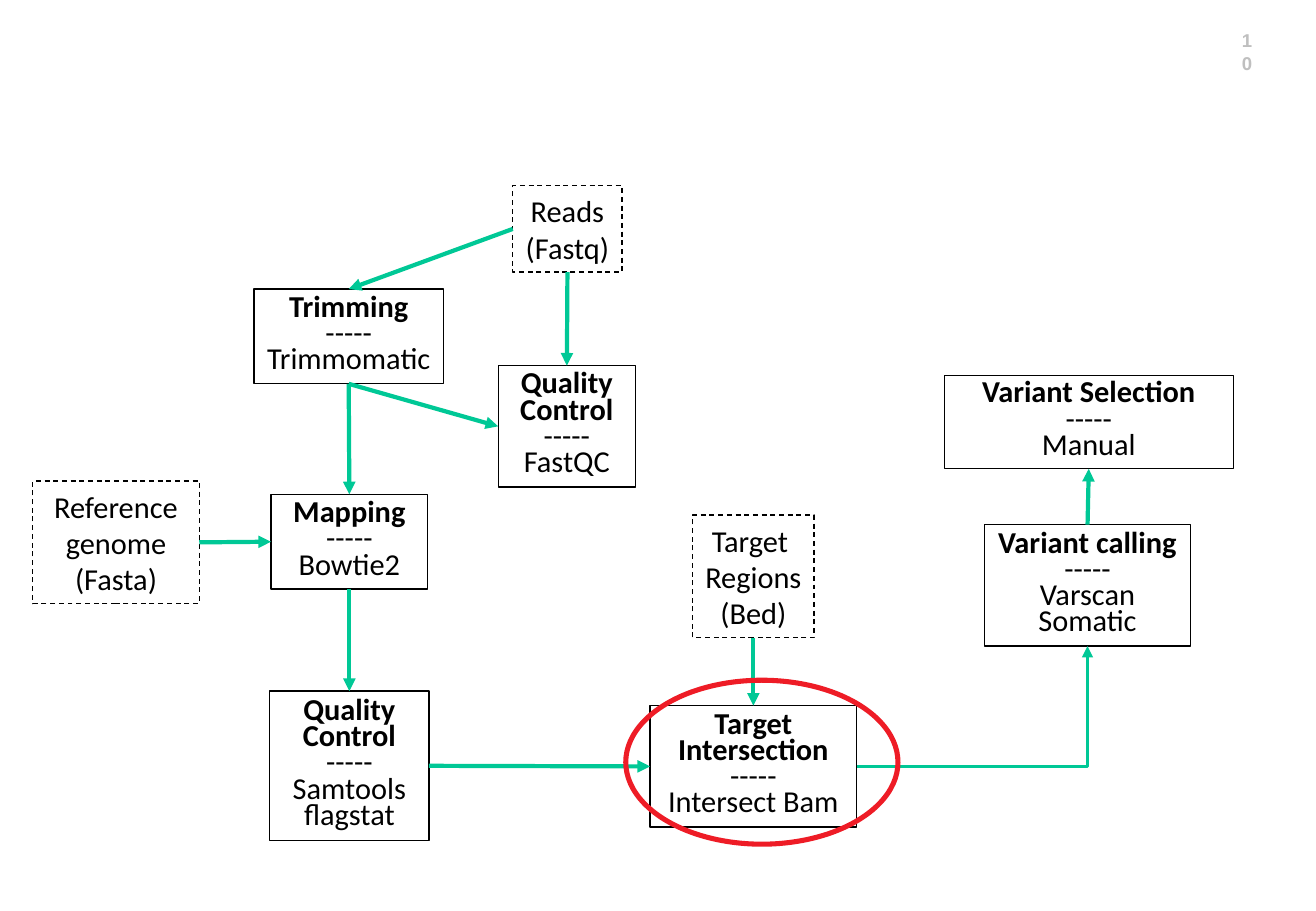
from pptx import Presentation
from pptx.dml.color import RGBColor
from pptx.enum.dml import MSO_LINE
from pptx.enum.shapes import MSO_CONNECTOR, MSO_SHAPE
from pptx.enum.text import MSO_ANCHOR, MSO_AUTO_SIZE, PP_ALIGN
from pptx.oxml.ns import qn
from pptx.util import Inches, Pt
from lxml import etree

RECTANGLE, OVAL = MSO_SHAPE.RECTANGLE, MSO_SHAPE.OVAL
STRAIGHT, ELBOW = MSO_CONNECTOR.STRAIGHT, MSO_CONNECTOR.ELBOW
DASH = MSO_LINE.DASH
CENTER, MIDDLE = PP_ALIGN.CENTER, MSO_ANCHOR.MIDDLE
FIT_SHAPE = MSO_AUTO_SIZE.SHAPE_TO_FIT_TEXT
TOP, LEFT, BOTTOM, RIGHT = range(4)

COLORS = {"text": "000000", "arrow": "00C896", "highlight": "EE1C26", "number": "BFBFBF"}
SEPARATOR = "-----"


class Flowchart:
    font = "Calibri"
    size = 18
    step_spacing = 15.6

    def __init__(self, slide):
        self.slide = slide

    def color(self, name):
        return RGBColor.from_string(COLORS[name])

    def add_run(self, paragraph, text, font, size, color, bold=False):
        run = paragraph.add_run()
        run.text = text
        run.font.name = font
        run.font.size = Pt(size)
        run.font.bold = bold
        run.font.color.rgb = self.color(color)

    def outline(self, kind, bounds, color, width):
        shape = self.slide.shapes.add_shape(kind, *map(Inches, bounds))
        shape.shadow.inherit = False
        shape.fill.background()
        shape.line.color.rgb = self.color(color)
        shape.line.width = Pt(width)
        return shape

    def box(self, bounds, lines, bold_count=0, spacing=None, wrap=True):
        shape = self.outline(RECTANGLE, bounds, "text", 0.75)
        frame = shape.text_frame
        frame.word_wrap = wrap
        frame.auto_size = FIT_SHAPE
        frame.vertical_anchor = MIDDLE
        for index, line in enumerate(lines):
            paragraph = frame.paragraphs[0] if index == 0 else frame.add_paragraph()
            paragraph.alignment = CENTER
            if spacing:
                paragraph.line_spacing = Pt(spacing)
            self.add_run(paragraph, line, self.font, self.size, "text", index < bold_count)
        return shape

    def step(self, bounds, title, tool):
        return self.box(bounds, [*title, SEPARATOR, *tool], len(title), self.step_spacing)

    def data(self, bounds, lines, wrap=False):
        shape = self.box(bounds, lines, wrap=wrap)
        shape.line.dash_style = DASH
        return shape

    def arrow(self, source, source_side, target, target_side, kind=STRAIGHT, width=2.5):
        connector = self.slide.shapes.add_connector(kind, 0, 0, 0, 0)
        connector.begin_connect(source, source_side)
        connector.end_connect(target, target_side)
        connector.line.color.rgb = self.color("arrow")
        connector.line.width = Pt(width)
        properties = connector._element.spPr
        if kind == ELBOW:
            properties.find(qn("a:prstGeom")).set("prst", "bentConnector2")
        etree.SubElement(properties.find(qn("a:ln")), qn("a:tailEnd"), type="triangle")
        etree.SubElement(properties, qn("a:effectLst"))

    def highlight(self, bounds):
        self.outline(OVAL, bounds, "highlight", 3)

    def page_number(self, bounds, text):
        frame = self.slide.shapes.add_textbox(*map(Inches, bounds)).text_frame
        frame.margin_left = frame.margin_right = frame.margin_top = frame.margin_bottom = 0
        frame.word_wrap = False
        frame.auto_size = FIT_SHAPE
        self.add_run(frame.paragraphs[0], text, "Arial", 11, "number", True)


def main():
    presentation = Presentation()
    presentation.slide_width = Inches(10.83)
    presentation.slide_height = Inches(7.5)
    chart = Flowchart(presentation.slides.add_slide(presentation.slide_layouts[6]))

    chart.page_number((10.22, 0.24, 0.17, 0.19), "10")

    reads = chart.data((4.22, 1.53, 0.9, 0.71), ["Reads", "(Fastq)"])
    regions = chart.data((5.7, 4.24, 1, 1.01), ["Target ", "Regions", "(Bed)"])
    genome = chart.data((0.27, 3.96, 1.37, 1.01), ["Reference genome", "(Fasta)"], wrap=True)

    trimming = chart.step((2.09, 2.38, 1.56, 0.78), ["Trimming"], ["Trimmomatic"])
    read_quality = chart.step((4.1, 3.01, 1.13, 1), ["Quality", "Control"], ["FastQC"])
    mapping = chart.step((2.23, 4.07, 1.29, 0.78), ["Mapping"], ["Bowtie2"])
    map_quality = chart.step((2.22, 5.69, 1.31, 1.23), ["Quality Control"], ["Samtools flagstat"])
    intersection = chart.step((5.35, 5.81, 1.7, 1), ["Target", "Intersection"], ["Intersect Bam"])
    calling = chart.step((8.1, 4.32, 1.7, 1), ["Variant calling"], ["Varscan", "Somatic"])
    selection = chart.step((7.77, 3.09, 2.38, 0.77), ["Variant Selection"], ["Manual"])

    for link in (
        (reads, LEFT, trimming, TOP),
        (reads, BOTTOM, read_quality, TOP),
        (trimming, BOTTOM, read_quality, LEFT),
        (trimming, BOTTOM, mapping, TOP),
        (genome, RIGHT, mapping, LEFT),
        (mapping, BOTTOM, map_quality, TOP),
        (map_quality, RIGHT, intersection, LEFT),
        (regions, BOTTOM, intersection, TOP),
        (calling, TOP, selection, BOTTOM),
    ):
        chart.arrow(*link)
    chart.arrow(intersection, RIGHT, calling, BOTTOM, ELBOW, 2.25)

    chart.highlight((5.15, 5.6, 2.24, 1.35))
    presentation.save("out.pptx")


if __name__ == "__main__":
    main()
